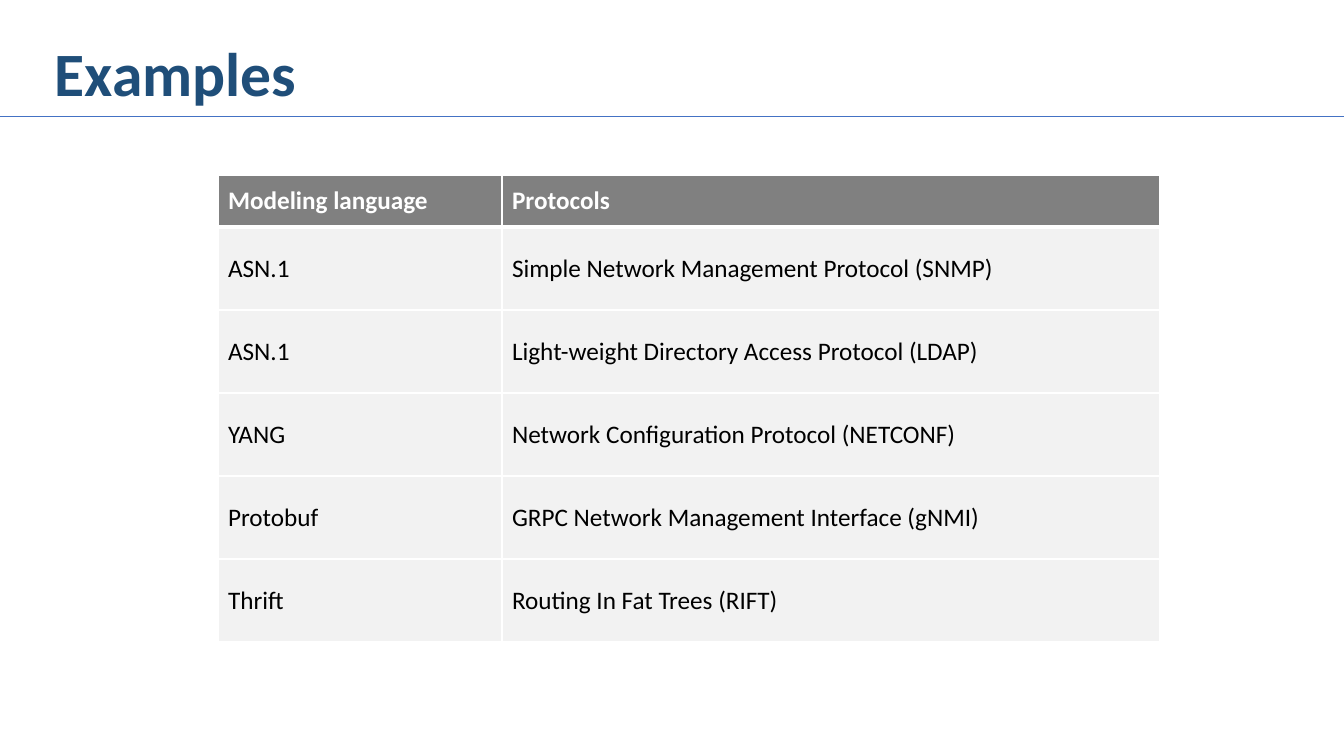
import lxml.etree
import pptx
import pptx.dml.color
import pptx.enum.shapes
import pptx.enum.text
import pptx.oxml.ns
import pptx.util

PX = 914400 / 100.8
COLORS = {
    "title": "1F4E79",
    "rule": "4472C4",
    "header": "808080",
    "body": "F2F2F2",
    "white": "FFFFFF",
    "black": "000000",
}
COLUMN_WIDTHS = [284, 658]
HEADER_HEIGHT, ROW_HEIGHT = 52, 83
ROWS = [
    ("Modeling language", "Protocols"),
    ("ASN.1", "Simple Network Management Protocol (SNMP)"),
    ("ASN.1", "Light-weight Directory Access Protocol (LDAP)"),
    ("YANG", "Network Configuration Protocol (NETCONF)"),
    ("Protobuf", "GRPC Network Management Interface (gNMI)"),
    ("Thrift", "Routing In Fat Trees (RIFT)"),
]


def px(*lengths):
    """Turn pixel lengths into a list of EMU."""
    return [pptx.util.Emu(round(length * PX)) for length in lengths]


def style_font(font, size, color, bold):
    font.name = "Calibri"
    font.size = pptx.util.Pt(size)
    font.bold = bold
    font.color.rgb = pptx.dml.color.RGBColor.from_string(COLORS[color])


presentation = pptx.Presentation()
presentation.slide_width, presentation.slide_height = px(1344, 756)
slide = presentation.slides.add_slide(presentation.slide_layouts[6])

# Rule under the title
rule = slide.shapes.add_connector(
    pptx.enum.shapes.MSO_CONNECTOR.STRAIGHT, *px(0, 116, 1344, 116))
rule.line.color.rgb = pptx.dml.color.RGBColor.from_string(COLORS["rule"])
rule.line.width = pptx.util.Pt(0.5)
lxml.etree.SubElement(rule._element.spPr, pptx.oxml.ns.qn("a:effectLst"))

# Title
title = slide.shapes.add_textbox(*px(45, 36, 1249, 82))
title.text_frame.word_wrap = True
title.text_frame.vertical_anchor = pptx.enum.text.MSO_ANCHOR.MIDDLE
paragraph = title.text_frame.paragraphs[0]
paragraph.text = "Examples"
paragraph.line_spacing = 0.9
style_font(paragraph.font, 44, "title", True)

# Table of languages and protocols
row_heights = [HEADER_HEIGHT] + [ROW_HEIGHT] * (len(ROWS) - 1)
table = slide.shapes.add_table(
    len(ROWS), len(COLUMN_WIDTHS),
    *px(218, 175, sum(COLUMN_WIDTHS), sum(row_heights))).table
for column, width in zip(table.columns, px(*COLUMN_WIDTHS)):
    column.width = width
for row, height in zip(table.rows, px(*row_heights)):
    row.height = height

for row_index, texts in enumerate(ROWS):
    is_header = row_index == 0
    for column_index, text in enumerate(texts):
        cell = table.cell(row_index, column_index)
        cell.vertical_anchor = pptx.enum.text.MSO_ANCHOR.MIDDLE
        paragraph = cell.text_frame.paragraphs[0]
        paragraph.text = text
        style_font(paragraph.font, 18, "white" if is_header else "black", is_header)

        # Borders come before the fill in the cell properties
        border_widths = {
            "lnL": 1,
            "lnR": 1,
            "lnT": 3 if row_index == 1 else 1,
            "lnB": 3 if is_header else 1,
        }
        properties = cell._tc.get_or_add_tcPr()
        for side, width in border_widths.items():
            border = lxml.etree.SubElement(
                properties, pptx.oxml.ns.qn(f"a:{side}"), w=str(pptx.util.Pt(width)))
            fill = lxml.etree.SubElement(border, pptx.oxml.ns.qn("a:solidFill"))
            lxml.etree.SubElement(
                fill, pptx.oxml.ns.qn("a:srgbClr"), val=COLORS["white"])
        cell.fill.solid()
        cell.fill.fore_color.rgb = pptx.dml.color.RGBColor.from_string(
            COLORS["header" if is_header else "body"])

presentation.save("out.pptx")
